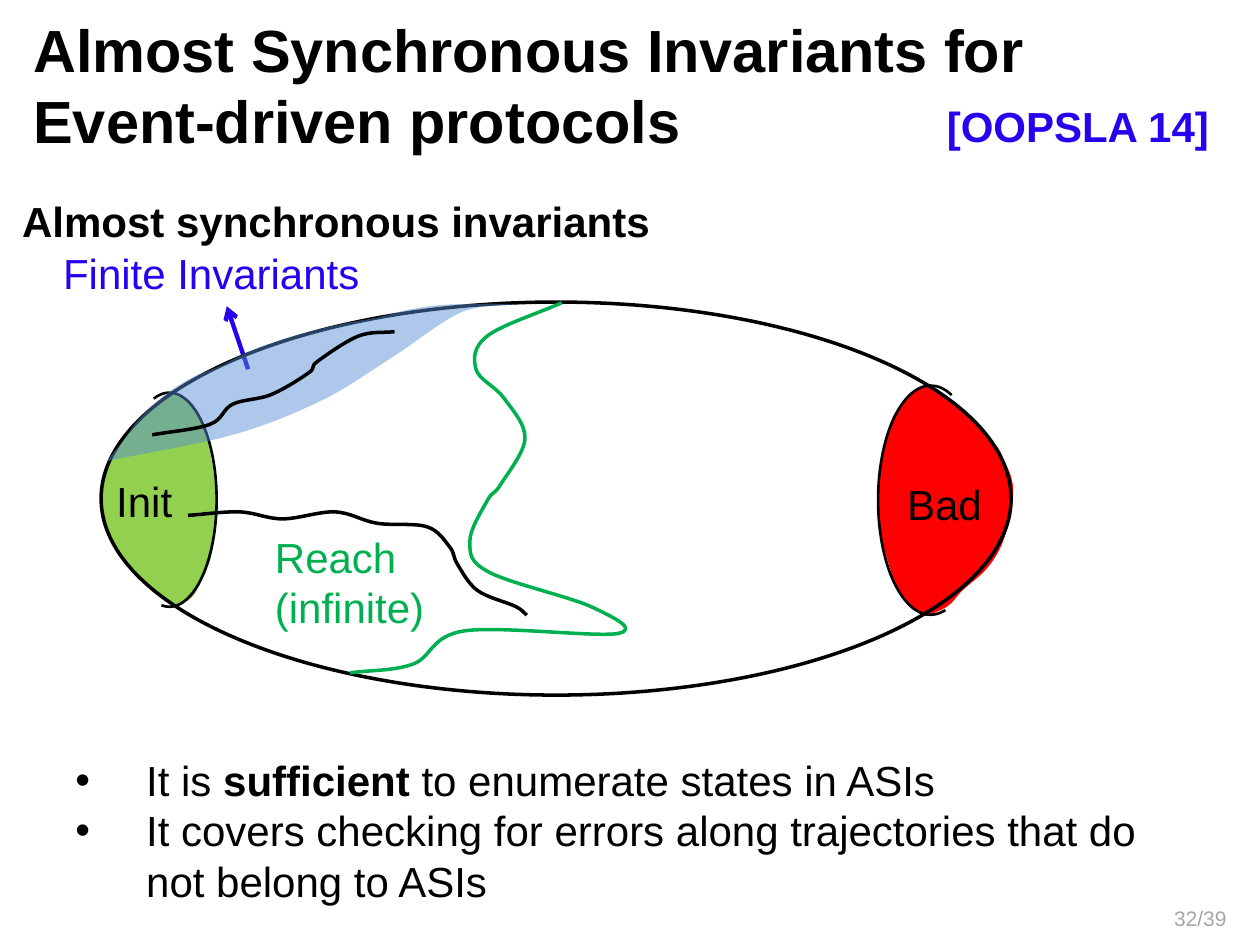
"""Build the slide on almost synchronous invariants for event-driven protocols."""
from lxml.etree import SubElement
from pptx import Presentation
from pptx.dml.color import RGBColor
from pptx.enum.shapes import MSO_CONNECTOR as Connector, MSO_SHAPE as Shape
from pptx.enum.text import MSO_ANCHOR as Anchor, MSO_AUTO_SIZE as Fit, PP_ALIGN as Align
from pptx.oxml.ns import qn
from pptx.util import Pt

BLACK = RGBColor(0x00, 0x00, 0x00)
BLUE = RGBColor(0x25, 0x03, 0xEF)
RED = RGBColor(0xFF, 0x00, 0x00)
LIME = RGBColor(0x92, 0xD0, 0x50)
GREEN = RGBColor(0x00, 0xB0, 0x50)
SKY = RGBColor(0x55, 0x8E, 0xD5)
GRAY = RGBColor(0xA6, 0xA6, 0xA6)

BAD_REGION = [
    (529, 219.5), (520, 226), (512.5, 234.5), (508, 244), (504.5, 257), (502, 276),
    (502, 288), (502.5, 302.5), (505.5, 314.5), (509, 326), (512, 335.5), (517, 341.5),
    (521.5, 347), (525, 350), (528.5, 352), (541.5, 346.5), (550, 337.5), (563, 326),
    (571, 314.5), (575.5, 302.5), (578, 293), (579, 280), (577.5, 271.5), (574, 263.5),
    (571, 257), (566.5, 251.5), (561.5, 246), (556.5, 240.5), (552, 235.5), (548, 232),
    (543, 228), (539.5, 225.5), (535.5, 222.5), (533, 221), (529, 219.5)]
INIT_REGION = [
    (98.5, 224.5), (90, 231), (82, 237.5), (76.5, 244), (68.5, 252.5), (62.5, 265),
    (58.5, 277), (58.5, 289.5), (60.5, 302.5), (65, 312), (70.5, 318), (79, 328.5),
    (85, 334), (91.5, 339), (99.5, 345.5), (109.5, 341.5), (115, 332), (119.5, 322),
    (122.5, 307.5), (124, 289.5), (123, 276.5), (120, 258), (116.5, 245.5), (112.5, 236),
    (107.5, 229.5), (98.5, 224.5)]
FINITE_REGION = [
    (61, 263.5), (133, 248.5), (183.5, 229), (223, 205), (263.5, 178.5), (293, 174),
    (257, 174), (236, 176.5), (215.5, 181.5), (196, 185), (168, 192), (144.5, 200),
    (126, 209), (108.5, 216.5), (92, 227.5), (79, 240), (70, 252.5)]
REACH_BORDER = [
    (321, 173), (278.5, 192), (272, 211), (288, 227.5), (300, 250.5), (286, 277),
    (278.5, 286), (268.5, 309.5), (279.5, 327), (338.5, 347), (353, 362), (265.5, 360.5),
    (236, 379.5), (200, 384.5)]
LONG_TRAJECTORY = [
    (107.5, 294.5), (137, 292.5), (161.5, 296.5), (191.5, 292.5), (215.5, 299), (244, 301),
    (257, 312.5), (261.5, 322.5), (273, 337.5), (294.5, 346.5), (301, 351.5)]
FINITE_TRAJECTORY = [
    (87, 248.5), (120, 242.5), (133, 231), (155, 225.5), (176.5, 213), (181.5, 206.5),
    (205, 192), (225.5, 189.5)]


def bezier_segments(anchors):
    """Return control, control and end points of a smooth curve through the anchors."""
    (x0, y0), (x1, y1) = anchors[:2]
    (xm, ym), (xn, yn) = anchors[-2:]
    guides = [(2 * x0 - x1, 2 * y0 - y1), *anchors, (2 * xn - xm, 2 * yn - ym)]
    return [
        (tuple(b + (c - a) // 6 for a, b, c in zip(before, start, end)),
         tuple(c - (d - b) // 6 for b, c, d in zip(start, end, after)),
         end)
        for before, start, end, after in zip(guides, guides[1:], guides[2:], guides[3:])]


class SlideWriter:
    """Hold the text style and the current slide."""

    def __init__(self, slide, font="Arial", size=24, hanging=40.5):
        self.slide, self.font, self.size, self.hanging = slide, font, size, hanging

    def text(self, box, paragraphs, color=BLACK, size=None, bold=False, align=None,
             anchor=Anchor.TOP, wrap=True, grow=True, hang=False, bullet=False):
        """Add a text box; each paragraph is a list of (text, bold) runs or a string."""
        frame = self.slide.shapes.add_textbox(*map(Pt, box)).text_frame
        frame.word_wrap, frame.vertical_anchor = wrap, anchor
        frame.auto_size = Fit.SHAPE_TO_FIT_TEXT if grow else Fit.NONE
        for index, content in enumerate(paragraphs):
            paragraph = frame.add_paragraph() if index else frame.paragraphs[0]
            paragraph.alignment = align
            if hang:
                props = paragraph._p.get_or_add_pPr()
                props.set("marL", str(Pt(self.hanging)))
                props.set("indent", str(-Pt(self.hanging)))
                if bullet:
                    SubElement(props, qn("a:buFont")).set("typeface", self.font)
                    SubElement(props, qn("a:buChar")).set("char", "•")
            pieces = [(content, bold)] if isinstance(content, str) else content
            paragraph.text = pieces[0][0]
            for wording, _ in pieces[1:]:
                paragraph.add_run().text = wording
            for run, (_, strong) in zip(paragraph.runs, pieces):
                run.font.name, run.font.size = self.font, Pt(size or self.size)
                run.font.bold, run.font.color.rgb = strong, color

    def paint(self, shape, fill=None, line=None, width=2, alpha=None):
        """Set fill and outline and drop the shadow."""
        shape.shadow.inherit = False
        if fill is None:
            shape.fill.background()
        else:
            shape.fill.solid()
            shape.fill.fore_color.rgb = fill
        if alpha is not None:
            tint = shape._element.spPr.find(qn("a:solidFill"))[0]
            SubElement(tint, qn("a:alpha")).set("val", str(alpha * 1000))
        if line is None:
            shape.line.fill.background()
        else:
            shape.line.color.rgb, shape.line.width = line, Pt(width)

    def outline(self, kind, box, width, angles=()):
        """Add an unfilled preset shape with a black outline."""
        shape = self.slide.shapes.add_shape(kind, *map(Pt, box))
        for index, angle in enumerate(angles):
            shape.adjustments[index] = angle * 0.6
        self.paint(shape, line=BLACK, width=width)

    def curve(self, anchors, **style):
        """Add a smooth outline, closed when it has a fill."""
        start, *rest = [(Pt(x), Pt(y)) for x, y in anchors]
        builder = self.slide.shapes.build_freeform(*start)
        builder.add_line_segments(rest, close="fill" in style)
        shape = builder.convert_to_shape()
        points = [(int(point.get("x")), int(point.get("y")))
                  for point in shape._element.iter(qn("a:pt"))]
        lines = list(shape._element.iter(qn("a:lnTo")))
        for straight, segment in zip(lines, bezier_segments(points)):
            bend = straight.makeelement(qn("a:cubicBezTo"))
            for x, y in segment:
                SubElement(bend, qn("a:pt"), x=str(x), y=str(y))
            straight.getparent().replace(straight, bend)
        self.paint(shape, **style)

    def arrow(self, start, end, color, width):
        """Add a straight arrow with an open head."""
        arrow = self.slide.shapes.add_connector(
            Connector.STRAIGHT, *map(Pt, (*start, *end)))
        arrow.line.color.rgb, arrow.line.width = color, Pt(width)
        SubElement(arrow.line._get_or_add_ln(), qn("a:tailEnd")).set("type", "arrow")
        SubElement(arrow._element.spPr, qn("a:effectLst"))


def main():
    """Write the presentation."""
    deck = Presentation()
    deck.slide_width, deck.slide_height = Pt(720), Pt(540)
    writer = SlideWriter(deck.slides.add_slide(deck.slide_layouts[6]))

    writer.text((-18, 108, 420, 36), ["Almost synchronous invariants"],
                bold=True, align=Align.CENTER, hang=True)
    writer.arrow((141.8, 211), (129.6, 175), BLUE, 2.5)
    writer.text((12, 12, 702, 72),
                ["Almost Synchronous Invariants for", "Event-driven protocols"],
                size=34, bold=True, anchor=Anchor.MIDDLE, grow=False)
    writer.text((534, 54, 306, 36), ["[OOPSLA 14]"], BLUE, bold=True)
    writer.text((-89.3, 137.8, 420, 36), ["Finite Invariants"], BLUE,
                align=Align.CENTER, hang=True)

    writer.curve(BAD_REGION, fill=RED)
    writer.curve(INIT_REGION, fill=LIME)
    writer.text((511.3, 270, 57.6, 36), ["Bad"], wrap=False)
    writer.outline(Shape.OVAL, (57.8, 172.6, 520, 224.6), 2)
    writer.outline(Shape.ARC, (69.8, 224.4, 54, 122.4), 1.5, (261.2, 94.31))
    writer.outline(Shape.ARC, (501.8, 220.3, 60, 131), 1.5, (82.34, 281.32))
    writer.text((59.3, 268, 46.8, 36), ["Init"], wrap=False)
    writer.text((150, 300, 101, 65.5), ["Reach", "(infinite)"], GREEN, wrap=False)
    writer.curve(REACH_BORDER, line=GREEN)
    writer.curve(FINITE_REGION, fill=SKY, alpha=48)
    for trajectory in (LONG_TRAJECTORY, FINITE_TRAJECTORY):
        writer.curve(trajectory, line=BLACK)

    writer.text((36, 427.6, 642, 94.5), [
        [("It is ", False), ("sufficient", True), (" to enumerate states in ASIs", False)],
        "It covers checking for errors along trajectories that do not belong to ASIs",
    ], hang=True, bullet=True)
    writer.text((540, 510, 168, 28.8), ["32/39"], GRAY, size=12, align=Align.RIGHT,
                anchor=Anchor.MIDDLE, grow=False)
    deck.save("out.pptx")


if __name__ == "__main__":
    main()
